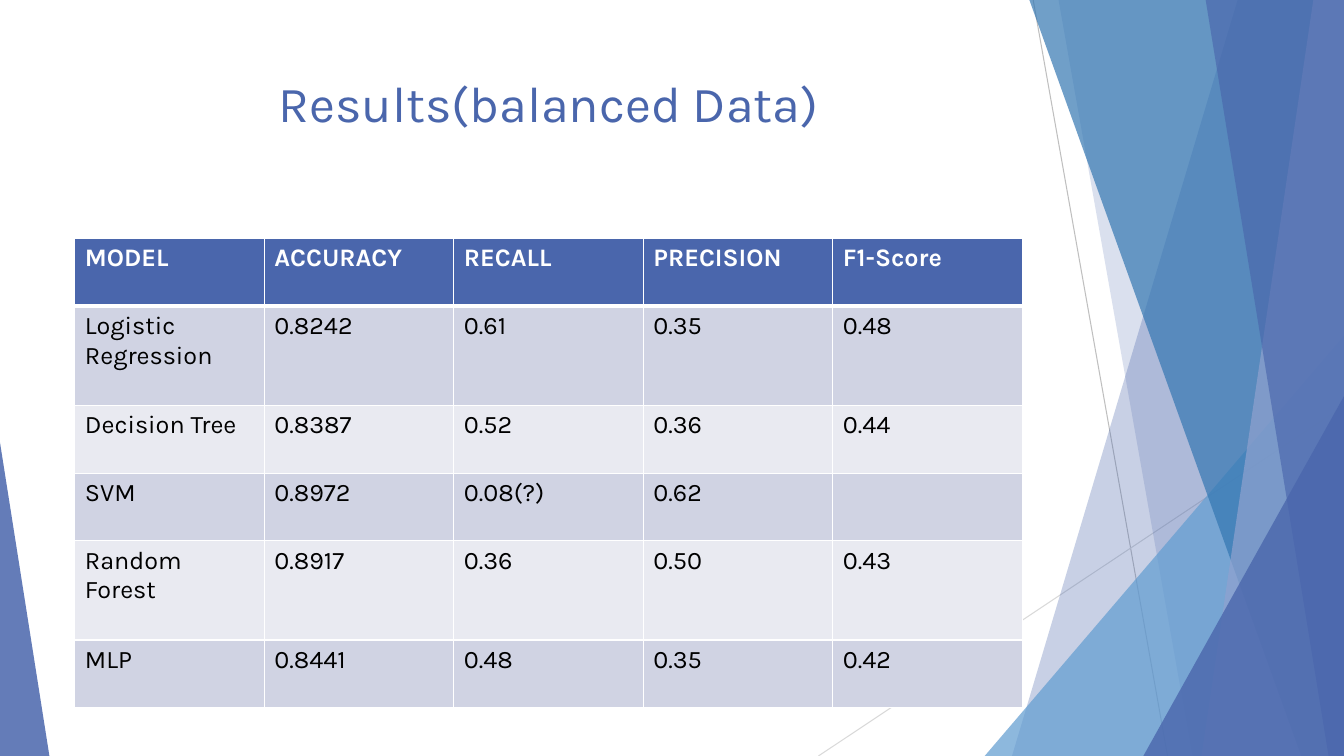
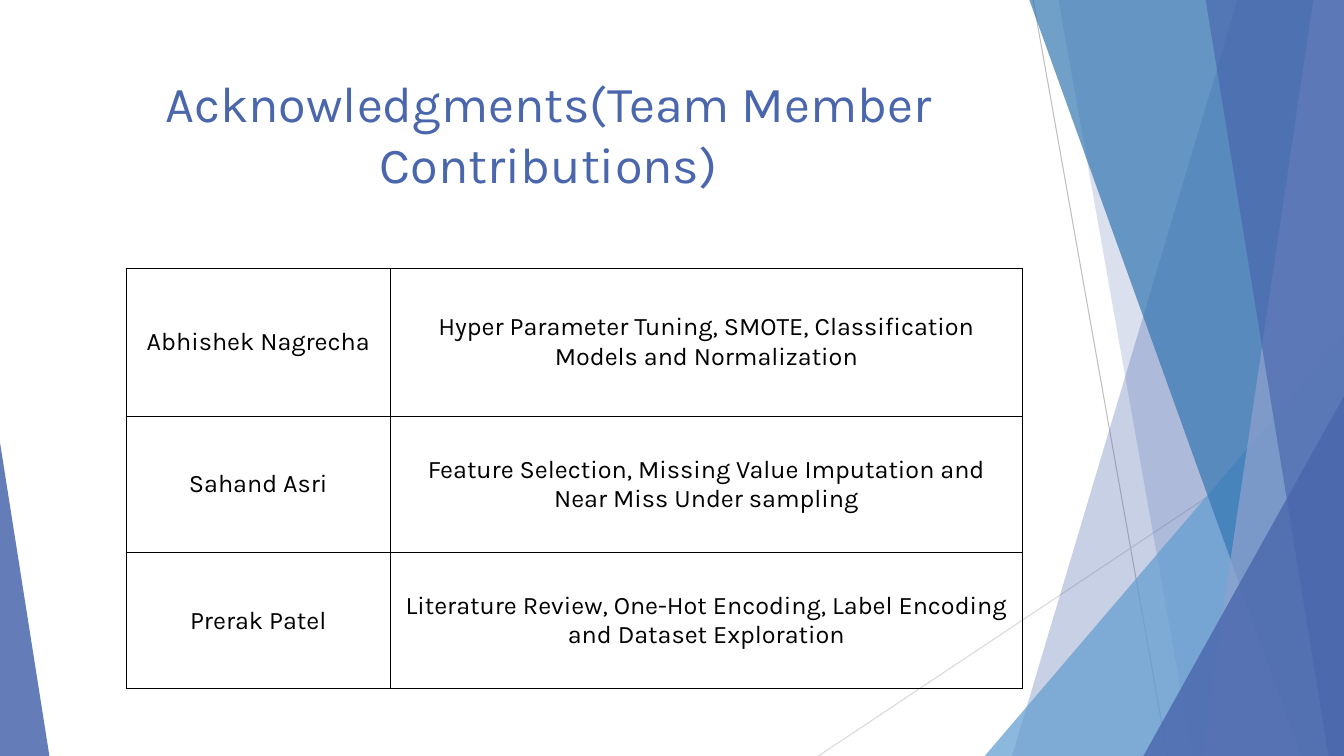
from lxml.etree import SubElement
from pptx import Presentation
from pptx.dml.color import RGBColor
from pptx.enum.shapes import MSO_CONNECTOR, MSO_SHAPE
from pptx.enum.text import MSO_ANCHOR, PP_ALIGN
from pptx.oxml import parse_xml
from pptx.oxml.ns import nsdecls, qn
from pptx.util import Pt

FONT = "Karla"
BLUE = RGBColor(0x4A, 0x66, 0xAC)
SKY = RGBColor(0x62, 0x9D, 0xD1)
OCEAN = RGBColor(0x34, 0x77, 0xB2)
LAVENDER = RGBColor(0x90, 0xA2, 0xCF)
BAND_DARK = RGBColor(0xD0, 0xD3, 0xE3)
BAND_LIGHT = RGBColor(0xE9, 0xEA, 0xF1)
GREY = RGBColor(0xBF, 0xBF, 0xBF)
PALE = RGBColor(0xD9, 0xD9, 0xD9)
WHITE = RGBColor(0xFF, 0xFF, 0xFF)
BLACK = RGBColor(0, 0, 0)

WIDTH, HEIGHT = 960, 540
MARGIN, CONTENT_RIGHT = 53.5, 730.3

RAYS = [((738, 0), (834, HEIGHT), GREY), ((WIDTH, 290), (584.6, HEIGHT), PALE)]
# Each panel reaches the right edge: top-left x, bottom-left x, colour, opacity.
PANELS_BACK = [(884.2, 722.9, BLUE, 30), (756, 851.8, BLUE, 20)]
PANELS_FRONT = [
    (735.1, 929.5, OCEAN, 70),
    (938.2, 858.2, LAVENDER, 70),
    (861.1, 949, BLUE, 65),
]
WEDGE_BACK = (703.4, 239.8, 256.6, 1, SKY, 72)
WEDGES_FRONT = [(816.7, 283, 143.3, 1, BLUE, 80), (0, 316.1, 35.3, 0, BLUE, 85)]

RESULTS_TITLE = "Results(balanced Data)"
RESULTS = [
    ("MODEL", "ACCURACY", "RECALL", "PRECISION", "F1-Score"),
    ("Logistic Regression", "0.8242", "0.61", "0.35", "0.48"),
    ("Decision Tree", "0.8387", "0.52", "0.36", "0.44"),
    ("SVM", "0.8972", "0.08(?)", "0.62", ""),
    ("Random Forest", "0.8917", "0.36", "0.50", "0.43"),
    ("MLP", "0.8441", "0.48", "0.35", "0.42"),
]
RESULTS_HEIGHTS = [48.6, 70.8, 48.6, 48.2, 70.8, 48.2]

TEAM_TITLE = "Acknowledgments(Team Member Contributions)"
TEAM = [
    ("Abhishek Nagrecha",
     "Hyper Parameter Tuning, SMOTE, Classification Models and Normalization"),
    ("Sahand Asri",
     "Feature Selection, Missing Value Imputation and\nNear Miss Under sampling"),
    ("Prerak Patel",
     "Literature Review, One-Hot Encoding, Label Encoding and Dataset Exploration"),
]
TEAM_LEFT, NAME_WIDTH = 90.2, 188.6
TEAM_HEIGHTS = [106, 97.2, 97.2]


def paint(s, color, opacity):
    s.shadow.inherit = False
    s.fill.solid()
    s.fill.fore_color.rgb = color
    s.line.fill.background()
    clr = next(s.element.spPr.iter(qn("a:srgbClr")))
    SubElement(clr, qn("a:alpha")).set("val", str(opacity * 1000))


def add_panel(slide, top_x, bottom_x, color, opacity):
    builder = slide.shapes.build_freeform(Pt(top_x), Pt(-0.6))
    corners = [(WIDTH, -0.6), (WIDTH, HEIGHT), (bottom_x, HEIGHT)]
    builder.add_line_segments([(Pt(x), Pt(y)) for x, y in corners])
    paint(builder.convert_to_shape(), color, opacity)


def add_wedge(slide, left, top, width, apex, color, opacity):
    s = slide.shapes.add_shape(MSO_SHAPE.ISOSCELES_TRIANGLE, Pt(left), Pt(top),
                               Pt(width), Pt(HEIGHT - top))
    s.adjustments[0] = apex
    paint(s, color, opacity)


def add_slide(prs, title):
    slide = prs.slides.add_slide(prs.slide_layouts[6])
    for start, end, color in RAYS:
        ray = slide.shapes.add_connector(
            MSO_CONNECTOR.STRAIGHT, *(Pt(v) for v in start + end))
        ray.line.color.rgb = color
        ray.line.width = Pt(0.75)
        SubElement(ray.element.spPr, qn("a:effectLst"))
    for panel in PANELS_BACK:
        add_panel(slide, *panel)
    add_wedge(slide, *WEDGE_BACK)
    for panel in PANELS_FRONT:
        add_panel(slide, *panel)
    for wedge in WEDGES_FRONT:
        add_wedge(slide, *wedge)

    box = slide.shapes.add_textbox(Pt(MARGIN), Pt(48), Pt(CONTENT_RIGHT - MARGIN), Pt(104))
    tf = box.text_frame
    tf.word_wrap = True
    tf.text = title
    style(tf, 36, BLUE, align=PP_ALIGN.CENTER)
    return slide


def style(tf, size, color, bold=False, align=PP_ALIGN.LEFT):
    for p in tf.paragraphs:
        p.alignment = align
        p.font.name = FONT
        p.font.size = Pt(size)
        p.font.bold = bold
        p.font.color.rgb = color


def set_borders(cell, color, top=1, bottom=1):
    tc_pr = cell._tc.get_or_add_tcPr()
    for i, (side, width) in enumerate(zip("LRTB", (1, 1, top, bottom))):
        tc_pr.insert(i, parse_xml(
            f'<a:ln{side} {nsdecls("a")} w="{Pt(width)}"><a:solidFill>'
            f'<a:srgbClr val="{color}"/></a:solidFill></a:ln{side}>'))


def add_table(slide, rows, left, top, widths, heights):
    frame = slide.shapes.add_table(len(rows), len(widths), Pt(left), Pt(top),
                                   Pt(sum(widths)), Pt(sum(heights)))
    table = frame.table
    table.first_row = table.horz_banding = False
    for column, width in zip(table.columns, widths):
        column.width = Pt(width)
    for row, height, texts in zip(table.rows, heights, rows):
        row.height = Pt(height)
        for cell, text in zip(row.cells, texts):
            cell.text = text
    return table


def add_results(prs):
    slide = add_slide(prs, RESULTS_TITLE)
    count = len(RESULTS[0])
    widths = [(CONTENT_RIGHT - MARGIN) / count] * count
    table = add_table(slide, RESULTS, MARGIN, 170.2, widths, RESULTS_HEIGHTS)
    for i, row in enumerate(table.rows):
        header = i == 0
        for cell in row.cells:
            cell.fill.solid()
            cell.fill.fore_color.rgb = BLUE if header else (BAND_LIGHT, BAND_DARK)[i % 2]
            style(cell.text_frame, 18, WHITE if header else BLACK, bold=header)
            set_borders(cell, WHITE, top=3 if i == 1 else 1, bottom=3 if header else 1)


def add_team(prs):
    slide = add_slide(prs, TEAM_TITLE)
    widths = [NAME_WIDTH, CONTENT_RIGHT - TEAM_LEFT - NAME_WIDTH]
    table = add_table(slide, TEAM, TEAM_LEFT, 191.5, widths, TEAM_HEIGHTS)
    for cell in table.iter_cells():
        cell.fill.background()
        cell.vertical_anchor = MSO_ANCHOR.MIDDLE
        style(cell.text_frame, 18, BLACK, align=PP_ALIGN.CENTER)
        set_borders(cell, BLACK)


def main():
    prs = Presentation()
    prs.slide_width, prs.slide_height = Pt(WIDTH), Pt(HEIGHT)
    add_results(prs)
    add_team(prs)
    prs.save("out.pptx")


if __name__ == "__main__":
    main()
